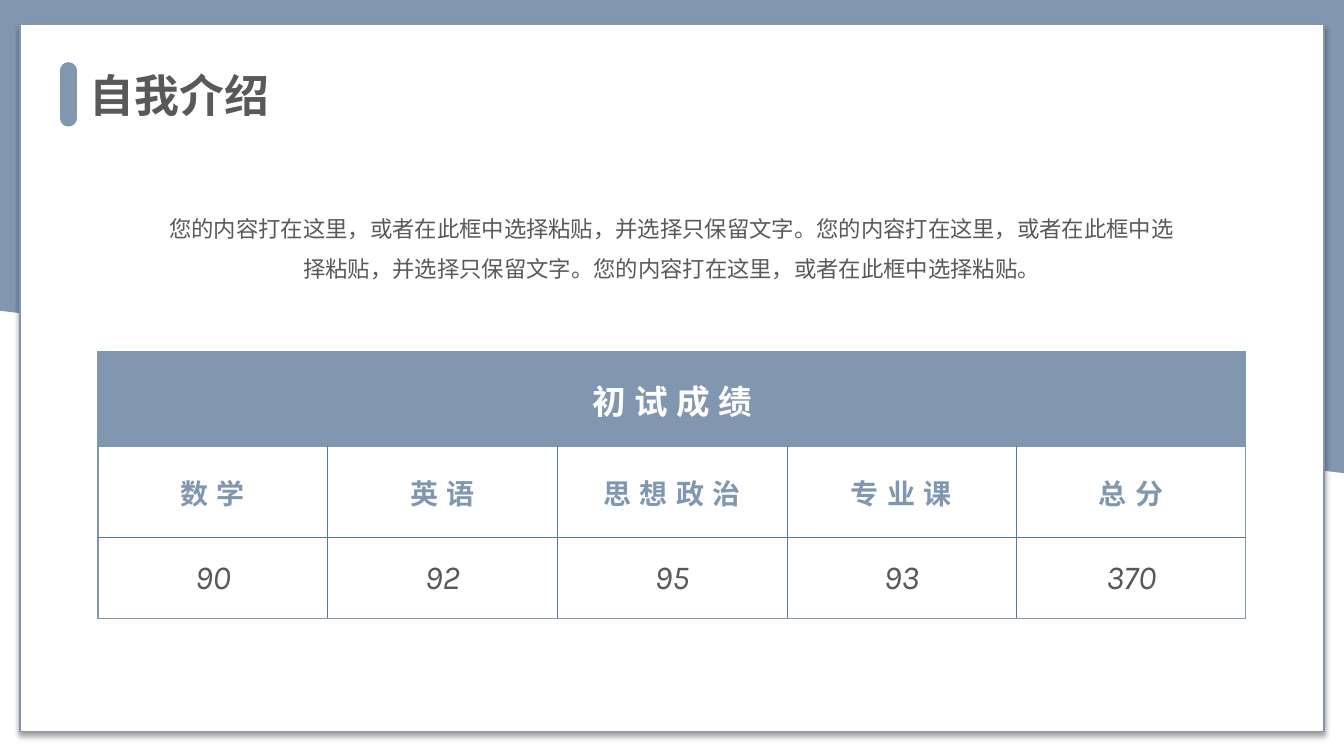
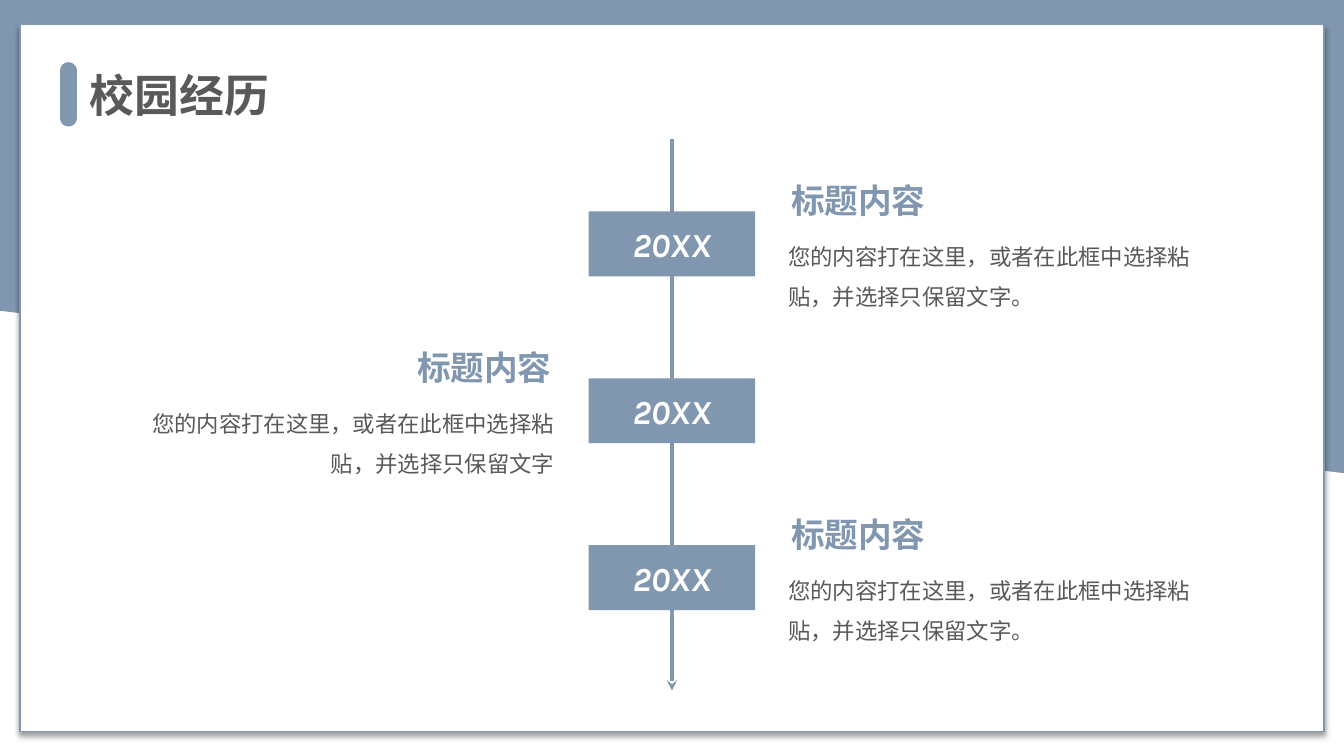
"""Builds two slides of an interview deck: exam scores and a campus timeline."""
from lxml import etree
from pptx import Presentation
from pptx.dml.color import RGBColor
from pptx.enum.shapes import MSO_CONNECTOR, MSO_SHAPE
from pptx.enum.text import MSO_ANCHOR, MSO_AUTO_SIZE, PP_ALIGN
from pptx.oxml import parse_xml
from pptx.oxml.ns import nsdecls, qn
from pptx.util import Pt

rgb = RGBColor.from_string
BLUE, GREY, WHITE, GRID = "8097AF", "595959", "FFFFFF", "5A789C"
LEFT, CENTER, RIGHT = PP_ALIGN.LEFT, PP_ALIGN.CENTER, PP_ALIGN.RIGHT
WIDTH, HEIGHT = 960, 540


def write(frame, text, size, color, align=LEFT, bold=False, italic=False, spacing=None):
    """Fill a text frame with one styled paragraph and return the paragraph."""
    paragraph = frame.paragraphs[0]
    paragraph.text = text
    paragraph.alignment = align
    paragraph.line_spacing = spacing
    font = paragraph.font
    font.name, font.size = "Karla", Pt(size)
    font.bold, font.italic = bold, italic
    font.color.rgb = rgb(color)
    return paragraph


def draw_line(slide, x, top, bottom, width):
    """Draw a vertical blue line and return its a:ln element."""
    line = slide.shapes.add_connector(
        MSO_CONNECTOR.STRAIGHT, Pt(x), Pt(top), Pt(x), Pt(bottom))
    line.line.color.rgb = rgb(BLUE)
    line.line.width = Pt(width)
    properties = line._element.spPr
    etree.SubElement(properties, qn("a:effectLst"))
    return properties.find(qn("a:ln"))


deck = Presentation()
deck.slide_width, deck.slide_height = Pt(WIDTH), Pt(HEIGHT)

slides = []
for title in ("自我介绍", "校园经历"):
    slide = deck.slides.add_slide(deck.slide_layouts[6])
    slides.append(slide)

    outline = slide.shapes.build_freeform(0, 0, scale=Pt(1))
    outline.add_line_segments([(WIDTH, 0), (WIDTH, 338), (0, 222)], close=True)
    band = outline.convert_to_shape()
    band.shadow.inherit = False
    band.fill.solid()
    band.fill.fore_color.rgb = rgb(BLUE)
    band.line.fill.background()

    card = slide.shapes.add_shape(MSO_SHAPE.RECTANGLE, Pt(14.2), Pt(17.4), Pt(931.6), Pt(505.2))
    card.fill.solid()
    card.fill.fore_color.rgb = rgb(WHITE)
    card.line.color.rgb = rgb(BLUE)
    card.line.width = Pt(1)
    card._element.spPr.append(parse_xml(
        f'<a:effectLst {nsdecls("a")}>'
        f'<a:outerShdw blurRad="{Pt(4)}" dist="{Pt(3)}" dir="5400000" algn="t" rotWithShape="0">'
        '<a:srgbClr val="000000"><a:alpha val="40000"/></a:srgbClr>'
        '</a:outerShdw></a:effectLst>'))

    heading = slide.shapes.add_textbox(Pt(57), Pt(44.6), Pt(144), Pt(46)).text_frame
    heading.word_wrap = False
    heading.auto_size = MSO_AUTO_SIZE.SHAPE_TO_FIT_TEXT
    write(heading, title, 32, GREY, bold=True)
    draw_line(slide, 48.8, 50.4, 84.4, 12).set("cap", "rnd")

scores_slide, timeline_slide = slides

intro = scores_slide.shapes.add_textbox(Pt(108), Pt(140.4), Pt(744), Pt(62)).text_frame
intro.word_wrap = True
intro.auto_size = MSO_AUTO_SIZE.SHAPE_TO_FIT_TEXT
write(intro, "您的内容打在这里，或者在此框中选择粘贴，并选择只保留文字。"
      "您的内容打在这里，或者在此框中选择粘贴，并选择只保留文字。"
      "您的内容打在这里，或者在此框中选择粘贴。", 16, GREY, CENTER, spacing=1.5)

score_rows = [
    ["初试成绩", "", "", "", ""],
    ["数学", "英语", "思想政治", "专业课", "总分"],
    ["90", "92", "95", "93", "370"],
]
row_styles = [
    (68, BLUE, 24, WHITE, True),
    (65, WHITE, 20, BLUE, True),
    (58, WHITE, 24, GREY, False),
]
last_row, last_column = len(score_rows) - 1, len(score_rows[0]) - 1
scores = scores_slide.shapes.add_table(
    last_row + 1, last_column + 1, Pt(70), Pt(251), Pt(820), Pt(191)).table
scores.first_row = scores.horz_banding = False
scores.cell(0, 0).merge(scores.cell(0, last_column))

for r, (labels, (height, fill, size, color, is_label)) in enumerate(zip(score_rows, row_styles)):
    scores.rows[r].height = Pt(height)
    for c, label in enumerate(labels):
        cell = scores.cell(r, c)
        cell.vertical_anchor = MSO_ANCHOR.MIDDLE
        cell.margin_left = cell.margin_right = Pt(5)
        cell.margin_top, cell.margin_bottom = Pt(0.7), Pt(0)
        paragraph = write(cell.text_frame, label, size, color, CENTER, is_label, not is_label)
        if is_label and label:
            paragraph.runs[0]._r.get_or_add_rPr().set("spc", "600")
        outer_sides = {
            "lnL": c == 0, "lnR": c == last_column or r == 0,
            "lnT": r == 0, "lnB": r == last_row}
        for side, outer in outer_sides.items():
            beside_header = (r, side) in ((0, "lnB"), (1, "lnT"))
            edge_color = BLUE if outer or beside_header else GRID
            cell._tc.get_or_add_tcPr().append(parse_xml(
                f'<a:{side} {nsdecls("a")} w="{Pt(1 if outer else 0.25)}">'
                f'<a:solidFill><a:srgbClr val="{edge_color}"/></a:solidFill></a:{side}>'))
        cell.fill.solid()
        cell.fill.fore_color.rgb = rgb(fill)

axis = draw_line(timeline_slide, WIDTH / 2, 99.4, 493.2, 2.5)
etree.SubElement(axis, qn("a:tailEnd"), type="stealth")

summary = "您的内容打在这里，或者在此框中选择粘贴，并选择只保留文字"
events = [(RIGHT, summary + "。"), (LEFT, summary), (RIGHT, summary + "。")]
year_width, heading_width, body_width = 119, 122, 306
for i, (side, description) in enumerate(events):
    top = 151 + i * 119.2
    year = timeline_slide.shapes.add_shape(
        MSO_SHAPE.RECTANGLE, Pt((WIDTH - year_width) / 2), Pt(top), Pt(year_width), Pt(46.4))
    year.shadow.inherit = False
    year.fill.solid()
    year.fill.fore_color.rgb = rgb(BLUE)
    year.line.fill.background()
    year.text_frame.vertical_anchor = MSO_ANCHOR.MIDDLE
    write(year.text_frame, "20XX", 24, WHITE, CENTER, True, True)

    on_right = side == RIGHT
    align = LEFT if on_right else RIGHT
    heading_left = 558 if on_right else 401 - heading_width
    body_left = 556 if on_right else 403 - body_width
    for text, left, offset, width, height, size, color, bold, spacing in (
            ("标题内容", heading_left, -26, heading_width, 36, 24, BLUE, True, None),
            (description, body_left, 9.6, body_width, 62, 16, GREY, False, 1.5)):
        frame = timeline_slide.shapes.add_textbox(
            Pt(left), Pt(top + offset), Pt(width), Pt(height)).text_frame
        frame.word_wrap = True
        frame.auto_size = MSO_AUTO_SIZE.SHAPE_TO_FIT_TEXT
        write(frame, text, size, color, align, bold, spacing=spacing)

deck.save("out.pptx")
